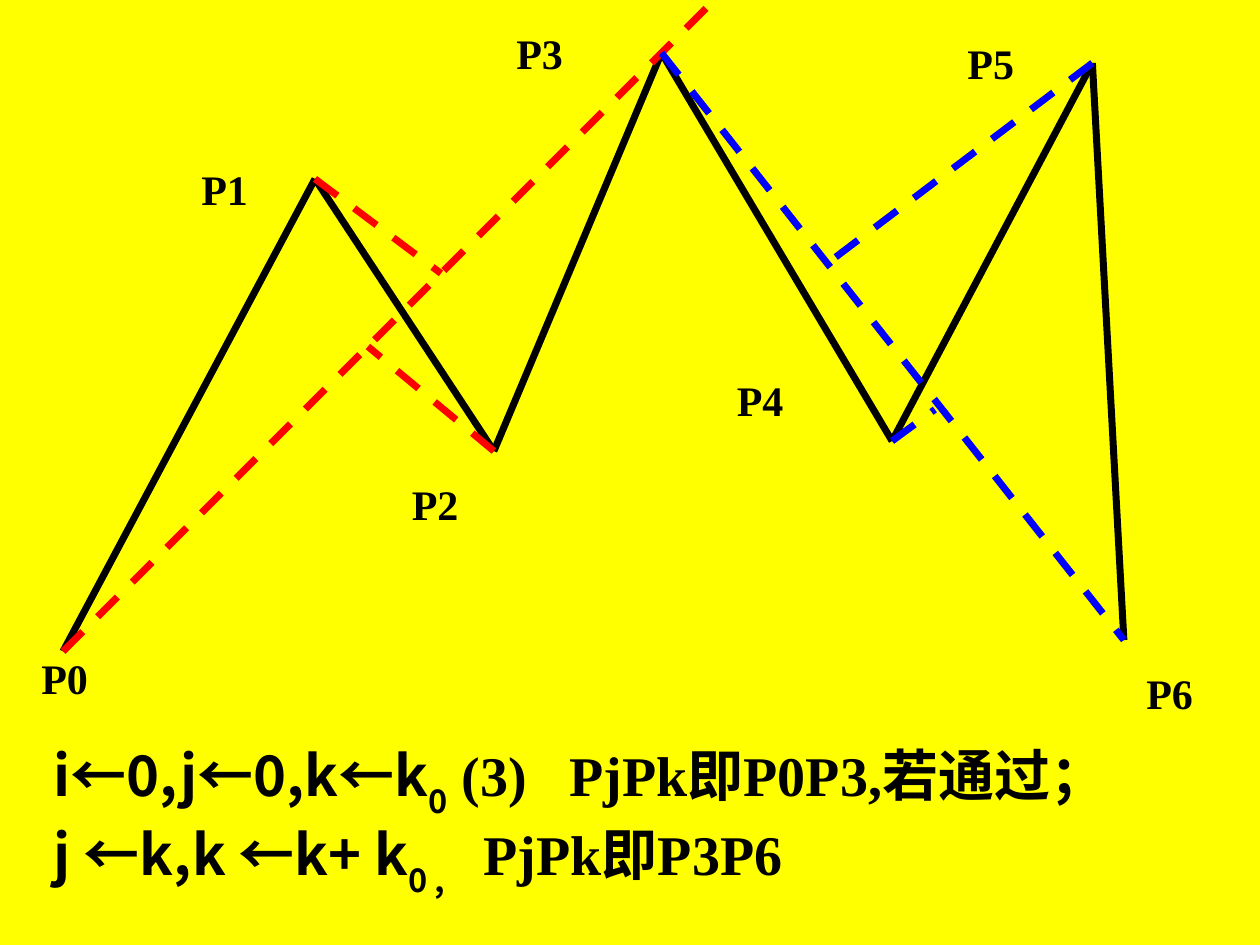
"""Build a slide showing the zigzag P0 to P6 with its dashed test chords."""
from lxml.etree import SubElement
from pptx import Presentation
from pptx.dml.color import RGBColor
from pptx.enum.dml import MSO_LINE
from pptx.enum.shapes import MSO_CONNECTOR
from pptx.enum.text import MSO_AUTO_SIZE
from pptx.oxml.ns import qn
from pptx.util import Inches, Pt

LATIN = "Times New Roman"
CJK = "Noto Sans CJK SC"


def add_line(shapes, start, end, color, dash=None):
    connector = shapes.add_connector(
        MSO_CONNECTOR.STRAIGHT, *[Inches(value) for value in (*start, *end)])
    connector.line.color.rgb = RGBColor.from_string(color)
    connector.line.width = Pt(4)
    if dash:
        connector.line.dash_style = dash
    SubElement(connector._element.spPr, qn("a:effectLst"))


def add_run(paragraph, text, size, font_name, baseline=0):
    run = paragraph.add_run()
    run.text = text
    run.font.size = Pt(size)
    run.font.bold = True
    run.font.color.rgb = RGBColor.from_string("000000")
    run.font.name = font_name
    properties = run._r.get_or_add_rPr()
    SubElement(properties, qn("a:ea"), typeface=CJK)
    if baseline:
        properties.set("baseline", str(baseline * 1000))


presentation = Presentation()
presentation.slide_width = Inches(10)
presentation.slide_height = Inches(7.5)
slide = presentation.slides.add_slide(presentation.slide_layouts[6])
slide.background.fill.solid()
slide.background.fill.fore_color.rgb = RGBColor.from_string("FFFF00")

points = [(0.5, 5.17), (2.5, 1.42), (3.92, 3.58), (5.25, 0.42),
          (7.08, 3.5), (8.67, 0.5), (8.92, 5.08)]
zigzag = slide.shapes.add_group_shape()
for start, end in zip(points, points[1:]):
    add_line(zigzag.shapes, start, end, "000000")

label_positions = [(0.23, 5.13), (1.5, 1.25), (3.17, 3.75), (4, 0.17),
                   (5.75, 2.92), (7.58, 0.25), (9, 5.25)]
for number, (left, top) in enumerate(label_positions):
    label = slide.shapes.add_textbox(
        Inches(left), Inches(top), Inches(0.57), Inches(0.5))
    label.text_frame.word_wrap = False
    label.text_frame.auto_size = MSO_AUTO_SIZE.SHAPE_TO_FIT_TEXT
    add_run(label.text_frame.paragraphs[0], f"P{number}", 24, LATIN)

steps = [
    (4.09, [("i←0,j←0,k←k", CJK, 0), ("0", CJK, -30),
            (" (3)\tPjPk即P0P3,若通过；", LATIN, 0)]),
    (3.41, [("j ←k,k ←k+ k", CJK, 0), ("0 ,", CJK, -30),
            ("\tPjPk即P3P6", LATIN, 0)]),
]
step_box = slide.shapes.add_textbox(
    Inches(0.33), Inches(5.83), Inches(9.33), Inches(1.36))
frame = step_box.text_frame
frame.word_wrap = True
frame.auto_size = MSO_AUTO_SIZE.SHAPE_TO_FIT_TEXT
for index, (tab_position, runs) in enumerate(steps):
    paragraph = frame.add_paragraph() if index else frame.paragraphs[0]
    tabs = SubElement(paragraph._p.get_or_add_pPr(), qn("a:tabLst"))
    SubElement(tabs, qn("a:tab"), pos=str(Inches(tab_position)), algn="l")
    for text, font_name, baseline in runs:
        add_run(paragraph, text, 32, font_name, baseline)

chords = [
    (points[0], (5.67, 0), "FF0000"),
    (points[2], (2.92, 2.75), "FF0000"),
    (points[1], (3.5, 2.17), "FF0000"),
    (points[3], points[6], "0000FF"),
    (points[4], (7.42, 3.25), "0000FF"),
    (points[5], (6.58, 2.08), "0000FF"),
]
for start, end, color in chords:
    add_line(slide.shapes, start, end, color, MSO_LINE.DASH)

presentation.save("out.pptx")
